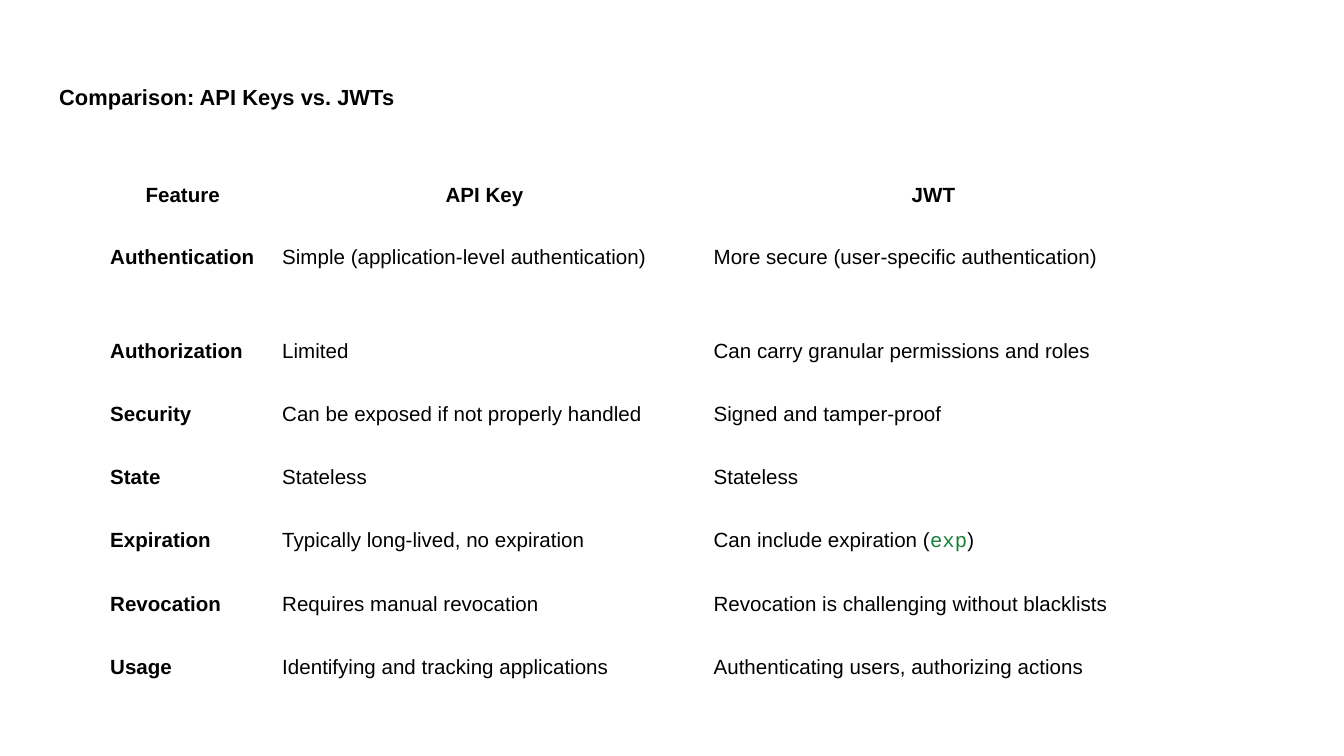
from pptx import Presentation
from pptx.dml.color import RGBColor
from pptx.enum import text
from pptx.util import Inches, Pt

BLACK = RGBColor(0x00, 0x00, 0x00)
WHITE = RGBColor(0xFF, 0xFF, 0xFF)
GREEN = RGBColor(0x18, 0x80, 0x38)

TITLE = "Comparison: API Keys vs. JWTs"
HEADER = ("Feature", "API Key", "JWT")
FEATURES = [
    ("Authentication", "Simple (application-level authentication)",
     "More secure (user-specific authentication)"),
    ("Authorization", "Limited", "Can carry granular permissions and roles"),
    ("Security", "Can be exposed if not properly handled", "Signed and tamper-proof"),
    ("State", "Stateless", "Stateless"),
    ("Expiration", "Typically long-lived, no expiration", "Can include expiration (`exp`)"),
    ("Revocation", "Requires manual revocation",
     "Revocation is challenging without blacklists"),
    ("Usage", "Identifying and tracking applications",
     "Authenticating users, authorizing actions"),
]
SLIDE_WIDTH = Inches(10)
SLIDE_HEIGHT = SLIDE_WIDTH * 9 // 16
COLUMN_WIDTHS = (1.28, 3.21, 3.47)
ROW_HEIGHTS = (0.49, 0.7) + (0.47,) * 6
MARGIN = Inches(0.1)


def write(frame, content, size=11, bold=False, align=text.PP_ALIGN.LEFT, spacing=1.0):
    """Fill the frame's first paragraph; parts between backticks become code."""
    paragraph = frame.paragraphs[0]
    paragraph.alignment = align
    paragraph.line_spacing = spacing
    paragraph.space_before = Pt(0)
    for index, part in enumerate(content.split("`")):
        is_code = index % 2 == 1
        run = paragraph.add_run()
        run.text = part
        run.font.name = "Courier New" if is_code else "Arial"
        run.font.size = Pt(size)
        run.font.bold = bold
        run.font.color.rgb = GREEN if is_code else BLACK


def set_margins(target):
    target.margin_left = target.margin_right = MARGIN
    target.margin_top = target.margin_bottom = MARGIN


def add_title(slide):
    title = slide.shapes.title
    title.left, title.top = Inches(0.34), Inches(0.49)
    title.width, title.height = Inches(9.32), Inches(0.63)
    frame = title.text_frame
    frame.word_wrap = True
    frame.auto_size = text.MSO_AUTO_SIZE.NONE
    frame.vertical_anchor = text.MSO_ANCHOR.TOP
    set_margins(frame)
    write(frame, TITLE, size=11.7, bold=True, spacing=1.15)


def add_comparison(slide):
    rows = [HEADER] + FEATURES
    table = slide.shapes.add_table(
        len(rows), len(HEADER), Inches(0.72), Inches(1.24),
        Inches(sum(COLUMN_WIDTHS)), Inches(sum(ROW_HEIGHTS))).table
    table.horz_banding = False
    table.first_row = False
    for column, width in zip(table.columns, COLUMN_WIDTHS):
        column.width = Inches(width)
    for row, height in zip(table.rows, ROW_HEIGHTS):
        row.height = Inches(height)
    for r, row in enumerate(rows):
        for c, content in enumerate(row):
            cell = table.cell(r, c)
            cell.fill.background()
            cell.vertical_anchor = text.MSO_ANCHOR.TOP
            set_margins(cell)
            if r == 0:
                write(cell.text_frame, content, bold=True,
                      align=text.PP_ALIGN.CENTER, spacing=1.15)
            else:
                write(cell.text_frame, content, bold=c == 0)


def main():
    deck = Presentation()
    deck.slide_width, deck.slide_height = SLIDE_WIDTH, SLIDE_HEIGHT
    slide = deck.slides.add_slide(deck.slide_layouts.get_by_name("Title Only"))
    slide.background.fill.solid()
    slide.background.fill.fore_color.rgb = WHITE
    add_title(slide)
    add_comparison(slide)
    deck.save("out.pptx")


if __name__ == "__main__":
    main()
